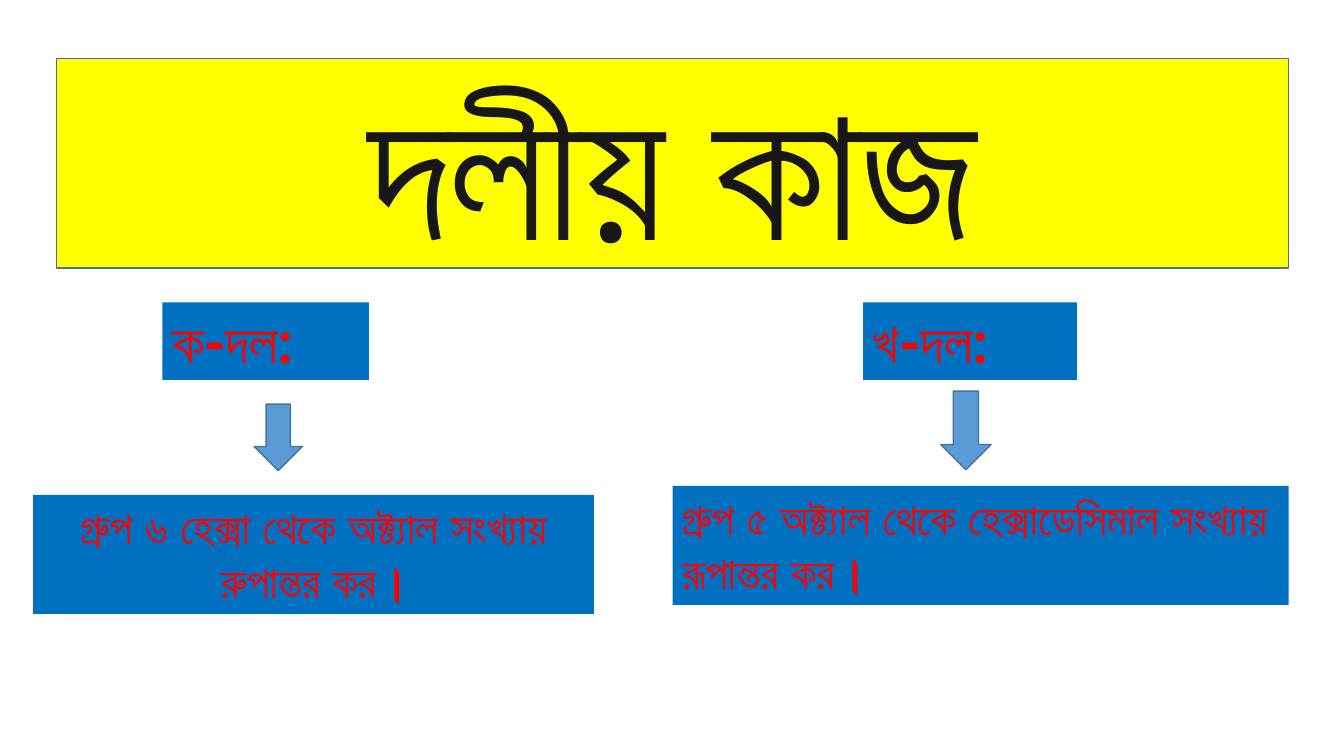
from pptx import Presentation
from pptx.dml.color import RGBColor
from pptx.enum.shapes import MSO_SHAPE
from pptx.enum.text import MSO_ANCHOR, MSO_AUTO_SIZE, PP_ALIGN
from pptx.util import Inches, Pt

RECTANGLE, DOWN_ARROW = MSO_SHAPE.RECTANGLE, MSO_SHAPE.DOWN_ARROW
LEFT, CENTER = PP_ALIGN.LEFT, PP_ALIGN.CENTER
TOP, MIDDLE = MSO_ANCHOR.TOP, MSO_ANCHOR.MIDDLE
FIXED = MSO_AUTO_SIZE.NONE

TITLE = {"text": "দলীয় কাজ", "area": (0.56, 0.58, 12.22, 2.08)}
GROUPS = [
    {
        "name": "ক-দল:",
        "name_area": (1.61, 3, 2.05, 0.77),
        "arrow_area": (2.52, 4.01, 0.48, 0.66),
        "task": "গ্রুপ ৬ হেক্সা থেকে অক্ট্যাল সংখ্যায় রুপান্তর কর।",
        "task_area": (0.33, 4.91, 5.56, 1.18),
        "task_align": CENTER,
    },
    {
        "name": "খ-দল:",
        "name_area": (8.56, 3, 2.12, 0.77),
        "arrow_area": (9.33, 3.88, 0.5, 0.78),
        "task": "গ্রুপ ৫ অক্ট্যাল থেকে হেক্সাডেসিমাল সংখ্যায় রূপান্তর কর।",
        "task_area": (6.67, 4.82, 6.11, 1.18),
        "task_align": LEFT,
    },
]

THEME = {
    "banner": "FFFF00",
    "panel": "0070C0",
    "arrow": "5B9BD5",
    "outline": "43739E",
    "title": {"name": "Lato", "size": Pt(138), "bold": False, "color": "181717"},
    "name": {"name": "Roboto", "size": Pt(40), "bold": True, "color": "FF0000"},
    "task": {"name": "Lato", "size": Pt(32), "bold": True, "color": "FF0000"},
}


def paint(shape, fill, outline=None):
    shape.fill.solid()
    shape.fill.fore_color.rgb = RGBColor.from_string(fill)
    if outline:
        shape.line.color.rgb = RGBColor.from_string(outline)
        shape.line.width = Pt(1)
    else:
        shape.line.fill.background()


def write(shape, text, style, align, anchor):
    frame = shape.text_frame
    frame.word_wrap = True
    frame.auto_size = FIXED
    frame.vertical_anchor = anchor
    para = frame.paragraphs[0]
    para.alignment = align
    span = para.add_run()
    span.text = text
    for key, value in THEME[style].items():
        if key == "color":
            span.font.color.rgb = RGBColor.from_string(value)
        else:
            setattr(span.font, key, value)


def add_block(page, kind, area, fill, outline=None):
    shape = page.shapes.add_shape(kind, *map(Inches, area))
    shape.shadow.inherit = False
    paint(shape, fill, outline)
    return shape


def add_title(page):
    title = page.shapes.title
    title.left, title.top, title.width, title.height = map(Inches, TITLE["area"])
    paint(title, THEME["banner"], THEME["outline"])
    write(title, TITLE["text"], "title", CENTER, MIDDLE)


def add_group(page, group):
    name_box = add_block(page, RECTANGLE, group["name_area"], THEME["panel"])
    write(name_box, group["name"], "name", LEFT, TOP)
    add_block(page, DOWN_ARROW, group["arrow_area"], THEME["arrow"], THEME["outline"])
    task_box = add_block(page, RECTANGLE, group["task_area"], THEME["panel"])
    write(task_box, group["task"], "task", group["task_align"], TOP)


def main():
    deck = Presentation()
    deck.slide_width, deck.slide_height = Inches(13.33), Inches(7.5)
    page = deck.slides.add_slide(deck.slide_layouts[5])
    add_title(page)
    for group in GROUPS:
        add_group(page, group)
    deck.save("out.pptx")


if __name__ == "__main__":
    main()
